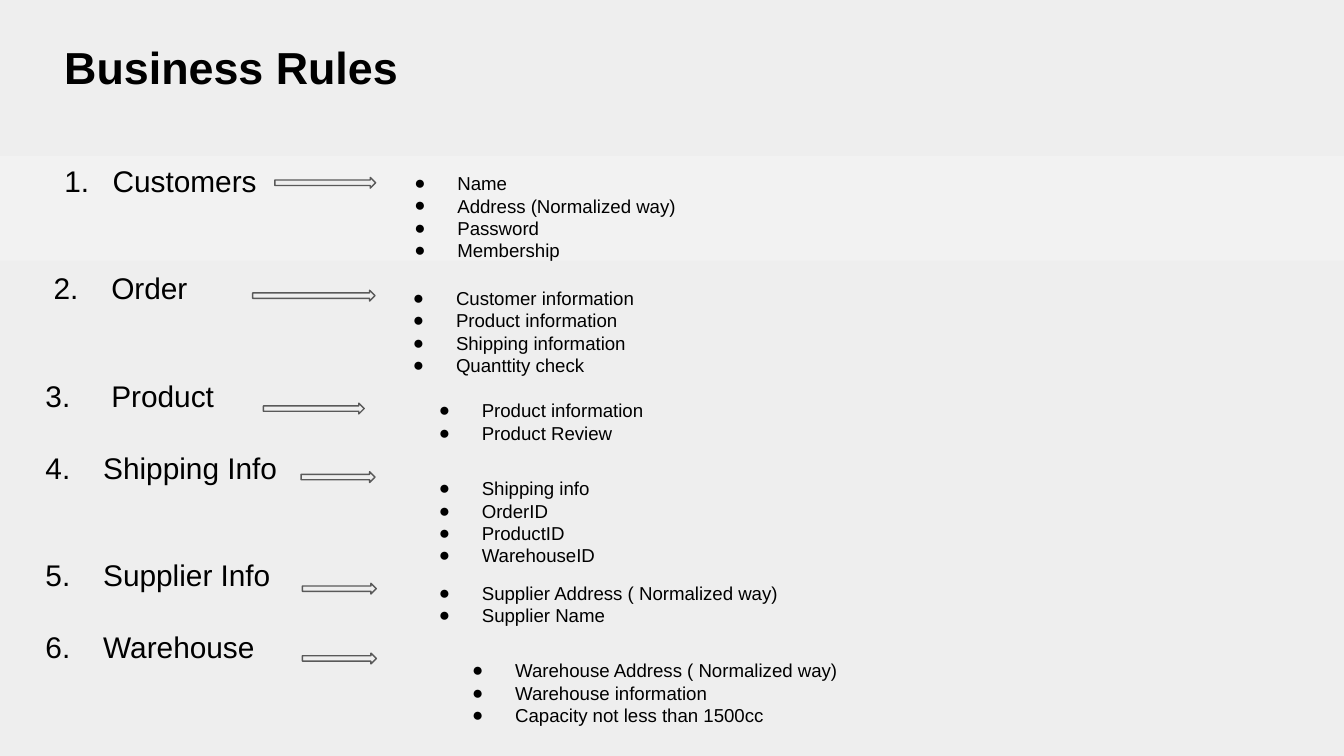
from lxml import etree
from pptx import Presentation
from pptx import util as u
from pptx.dml.color import RGBColor
from pptx.enum import shapes, text
from pptx.oxml import ns

# Grid: 100 columns by 56.25 rows of square cells
CELL = 0.1
COLUMNS, ROWS = 100, 56.25
FONT, INK, PALE, LINE = "Arial", "000000", "EEEEEE", "595959"
LEADING = 1.2

# Rule: name, number column, name column, blank lines above.
# The first is an automatic number; the others are typed and tabbed.
HEADINGS = [
    ("Customers", 4.8, 8.4, 0),
    ("2.\tOrder", 4.0, 8.3, 2),
    ("3.\tProduct", 3.4, 8.3, 2),
    ("4.\tShipping Info", 3.4, 7.7, 1),
    ("5.\tSupplier Info", 3.4, 7.7, 2),
    ("6.\tWarehouse", 3.4, 7.7, 1),
]

# Arrow (column, row, width), then list (column, row, width) and its items
DETAILS = [
    ((20.45, 13.2, 7.5), (28.05, 11.8, 44),
     ["Name", "Address (Normalized way)", "Password", "Membership"]),
    ((18.8, 21.6, 9.1), (27.95, 20.35, 44),
     ["Customer information", "Product information",
      "Shipping information", "Quanttity check"]),
    ((19.6, 30, 7.5), (29.87, 28.7, 38.7),
     ["Product information", "Product Review"]),
    ((22.4, 35.1, 5.5), (29.87, 34.5, 35.7),
     ["Shipping info", "OrderID", "ProductID", "WarehouseID"]),
    ((22.5, 43.4, 5.5), (29.87, 42.3, 40.9),
     ["Supplier Address ( Normalized way)", "Supplier Name"]),
    ((22.5, 48.6, 5.5), (32.35, 48.05, 34.8),
     ["Warehouse Address ( Normalized way)", "Warehouse information",
      "Capacity not less than 1500cc"]),
]


def color(value):
    return RGBColor.from_string(value)


def cells(*counts):
    return [u.Inches(count * CELL) for count in counts]


def add_block(page, preset, place, fill, line=None, alpha=None):
    block = page.shapes.add_shape(preset, *cells(*place))
    block.shadow.inherit = False
    block.fill.solid()
    block.fill.fore_color.rgb = color(fill)
    if alpha is not None:
        tone = block.fill._xPr.find(".//" + ns.qn("a:srgbClr"))
        etree.SubElement(tone, ns.qn("a:alpha"), val=str(alpha * 1000))
    if line:
        block.line.color.rgb = color(line)
        block.line.width = u.Pt(0.75)
    else:
        block.line.fill.background()


def add_box(page, place, anchor=text.MSO_ANCHOR.TOP):
    frame = page.shapes.add_textbox(*cells(*place)).text_frame
    frame.word_wrap = True
    frame.vertical_anchor = anchor
    frame.margin_left = frame.margin_right = u.Inches(0.1)
    frame.margin_top = frame.margin_bottom = u.Inches(0.1)
    return frame


def add_para(frame, words, size, bold=False):
    first = frame.paragraphs[0]
    para = frame.add_paragraph() if first.runs else first
    para.add_run().text = words
    para.font.name, para.font.size, para.font.bold = FONT, u.Pt(size), bold
    para.font.color.rgb = color(INK)
    return para


def hang(para, indent, back):
    """Start the first line to the left of the paragraph."""
    left, first = cells(indent, -back)
    props = para._p.get_or_add_pPr()
    props.set("marL", str(left))
    props.set("indent", str(first))


def add_marker(para, kind, **settings):
    tint = etree.Element(ns.qn("a:buClr"))
    etree.SubElement(tint, ns.qn("a:srgbClr"), val=INK)
    face = etree.Element(ns.qn("a:buFont"), typeface=FONT)
    marker = etree.Element(ns.qn(kind), **settings)
    default = para._p.get_or_add_pPr().find(ns.qn("a:defRPr"))
    for element in (tint, face, marker):
        default.addprevious(element)


def add_headings(page, place, size):
    frame = add_box(page, place)
    edge = place[0] + 1
    for name, mark, start, blanks in HEADINGS:
        para = add_para(frame, name, size)
        hang(para, start - edge, start - mark)
        if "\t" not in name:
            add_marker(para, "a:buAutoNum", type="arabicPeriod")
        para.line_spacing = u.Pt(size * LEADING)
        para.space_before = u.Pt(blanks * size * LEADING)


def add_list(page, column, row, width, items, size):
    height = 5.5 if len(items) == 2 else 7.8
    frame = add_box(page, (column, row, width, height))
    for item in items:
        para = add_para(frame, item, size)
        hang(para, 5, 3.2)
        add_marker(para, "a:buChar", char="●")
        para.line_spacing = u.Pt(size * LEADING)


def main():
    deck = Presentation()
    deck.slide_width, deck.slide_height = cells(COLUMNS, ROWS)
    page = deck.slides.add_slide(deck.slide_layouts[6])
    preset = shapes.MSO_SHAPE

    # Backdrop and light band
    add_block(page, preset.RECTANGLE, (0, 0, COLUMNS, ROWS), PALE)
    add_block(page, preset.RECTANGLE, (0, 11.6, COLUMNS, 7.8), "FFFFFF", alpha=25)

    # Title and numbered rules
    title = add_box(page, (3.8, 1.05, 78.4, 7.8), text.MSO_ANCHOR.MIDDLE)
    add_para(title, "Business Rules", 24, bold=True)
    add_headings(page, (2.4, 11.1, 78.4, 42.2), 16)

    # Arrow and details for each rule
    for (column, row, width), corner, items in DETAILS:
        add_block(page, preset.RIGHT_ARROW, (column, row, width, 0.8), PALE, LINE)
        add_list(page, *corner, items, 10)

    deck.save("out.pptx")


if __name__ == "__main__":
    main()
